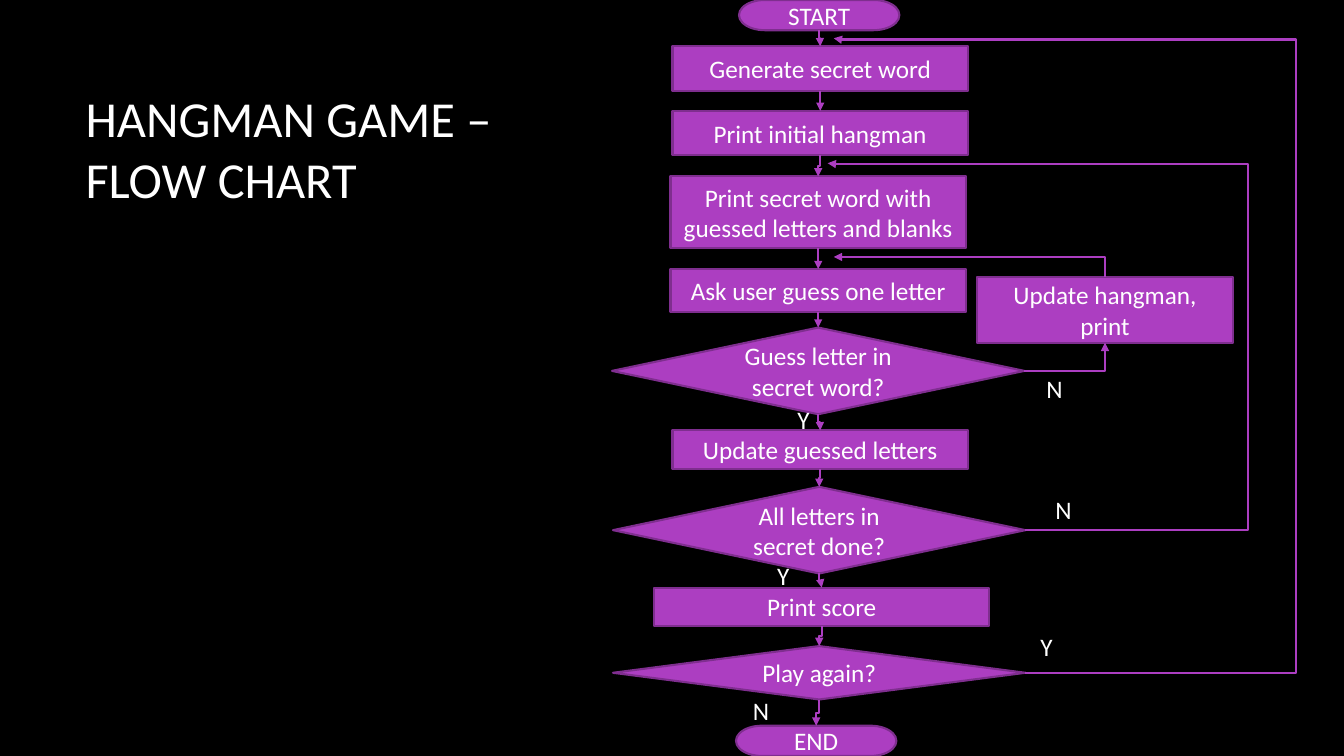
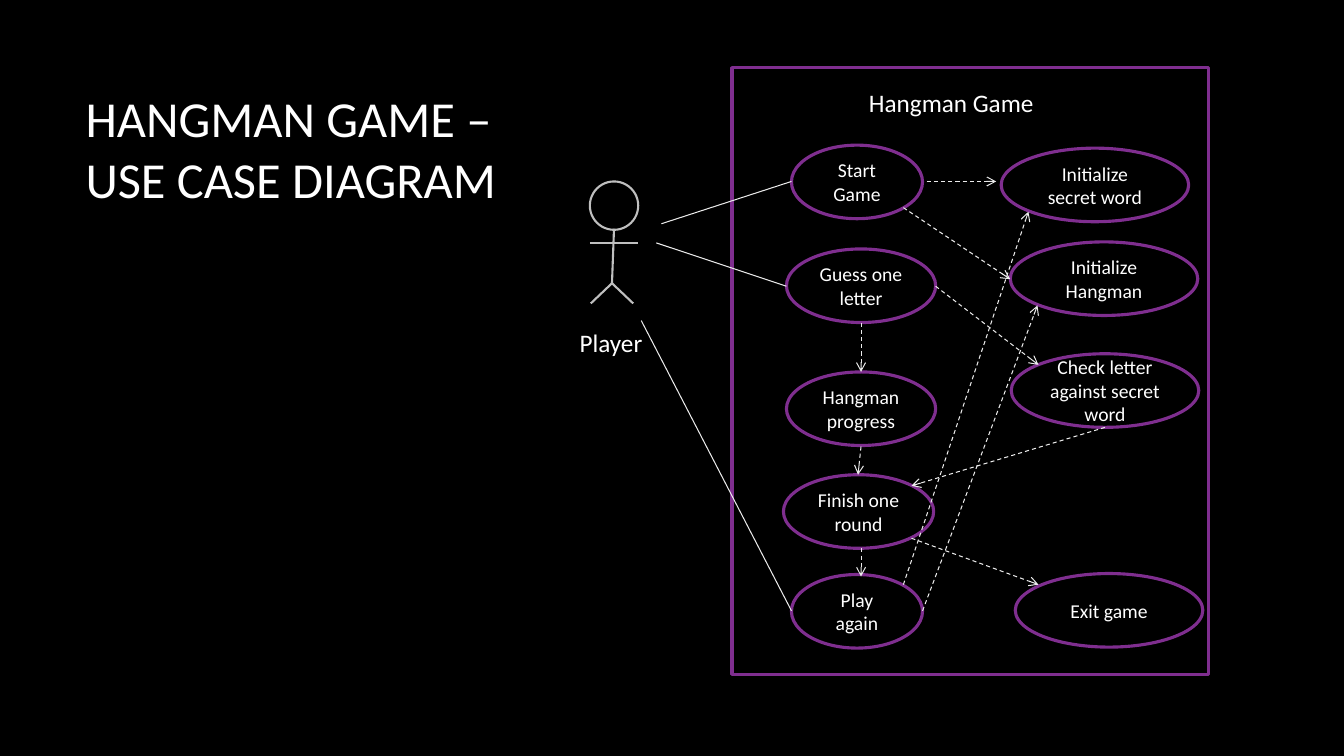
import lxml.etree
import pptx
import pptx.dml.color
import pptx.enum.dml
import pptx.enum.shapes
import pptx.enum.text
import pptx.oxml.ns
import pptx.util

Inches = pptx.util.Inches
Preset = pptx.enum.shapes.MSO_SHAPE
ConnectorKind = pptx.enum.shapes.MSO_CONNECTOR
Align = pptx.enum.text.PP_ALIGN
Anchor = pptx.enum.text.MSO_ANCHOR
qn = pptx.oxml.ns.qn

BLACK, WHITE = "000000", "FFFFFF"
PURPLE, DARK_PURPLE = "AC3EC1", "7F2E8F"
GREY, LIGHT_GREY = "BFBFBF", "EBEBEB"
TOP, BOTTOM, RIGHT = 0, 2, 3


def rgb(value):
    return pptx.dml.color.RGBColor.from_string(value)


class Diagram:
    """Holds the presentation, its style and the current slide."""

    font_name = "Calibri"

    def __init__(self):
        self.presentation = pptx.Presentation()
        self.presentation.slide_width = Inches(13.33)
        self.presentation.slide_height = Inches(7.5)
        self.slide = None

    def new_slide(self, title, title_width):
        self.slide = self.presentation.slides.add_slide(self.presentation.slide_layouts[6])
        background = self.slide.background.fill
        background.solid()
        background.fore_color.rgb = rgb(BLACK)
        box = self.slide.shapes.add_textbox(Inches(0.75), Inches(0.67), Inches(title_width), Inches(1.59))
        self.set_text(box, title, 36, Align.LEFT)

    def set_text(self, shape, text, size, alignment=Align.CENTER, anchor=Anchor.MIDDLE, wrap=True):
        frame = shape.text_frame
        frame.word_wrap = wrap
        frame.vertical_anchor = anchor
        paragraph = frame.paragraphs[0]
        paragraph.text = text
        paragraph.alignment = alignment
        paragraph.font.name = self.font_name
        paragraph.font.size = pptx.util.Pt(size)
        paragraph.font.color.rgb = rgb(WHITE)

    def label(self, text, left, top, width):
        box = self.slide.shapes.add_textbox(Inches(left), Inches(top), Inches(width), Inches(0.4))
        self.set_text(box, text, 18, Align.LEFT, Anchor.TOP, wrap=False)

    def outline(self, preset, left, top, width, height, color=DARK_PURPLE, weight=2.25, parent=None):
        """Add an unfilled shape to the slide, or to the parent group."""
        shape = (parent or self.slide).shapes.add_shape(
            preset, Inches(left), Inches(top), Inches(width), Inches(height))
        shape.shadow.inherit = False
        shape.fill.background()
        shape.line.color.rgb = rgb(color)
        shape.line.width = pptx.util.Pt(weight)
        return shape

    def flow_node(self, text, preset, left, top, width, height):
        shape = self.outline(preset, left, top, width, height, weight=1.5)
        shape.fill.solid()
        shape.fill.fore_color.rgb = rgb(PURPLE)
        self.set_text(shape, text, 18)
        return shape

    def use_case(self, text, left, top, width):
        shape = self.outline(Preset.OVAL, left, top, width, 0.73)
        self.set_text(shape, text, 14)

    def style_connector(self, connector, color, weight, arrowhead=None, dashed=False):
        connector.line.color.rgb = rgb(color)
        connector.line.width = pptx.util.Pt(weight)
        if dashed:
            connector.line.dash_style = pptx.enum.dml.MSO_LINE.DASH
        properties = connector.element.spPr
        if arrowhead:
            lxml.etree.SubElement(properties.find(qn("a:ln")), qn("a:tailEnd"), type=arrowhead)
        lxml.etree.SubElement(properties, qn("a:effectLst"))

    def straight(self, begin, end, color=LIGHT_GREY, weight=0.75, parent=None, arrowhead=None, dashed=False):
        connector = (parent or self.slide).shapes.add_connector(
            ConnectorKind.STRAIGHT, *map(Inches, begin + end))
        self.style_connector(connector, color, weight, arrowhead, dashed)

    def dependency(self, begin, end):
        self.straight(begin, end, arrowhead="arrow", dashed=True)

    def elbow(self, begin, begin_site, end, end_site=None, preset="bentConnector3", turns=0, lane=None):
        """Add a bent arrow from a shape to a shape, or to a point if end_site is None.

        turns counts clockwise quarter turns; lane is the x of the vertical run.
        """
        target = (0, 0) if end_site is not None else end
        connector = self.slide.shapes.add_connector(ConnectorKind.ELBOW, 0, 0, *map(Inches, target))
        connector.begin_connect(begin, begin_site)
        if end_site is not None:
            connector.end_connect(end, end_site)
        geometry = connector.element.spPr.find(qn("a:prstGeom"))
        geometry.set("prst", preset)
        if lane is not None:
            run = connector.end_x - connector.begin_x
            first = round((Inches(lane) - connector.begin_x) / run * 100000)
            guides = geometry.find(qn("a:avLst"))
            for name, value in (("adj1", first), ("adj2", 99800)):
                lxml.etree.SubElement(guides, qn("a:gd"), name=name, fmla=f"val {value}")
        if turns:
            self.turn(connector, turns)
        self.style_connector(connector, PURPLE, 1.5, "triangle")

    def turn(self, connector, turns):
        """Rotate the frame by one or three quarter turns, leaving both ends in place."""
        across = connector.end_x - connector.begin_x
        down = connector.end_y - connector.begin_y
        center_x = connector.begin_x + across // 2
        center_y = connector.begin_y + down // 2
        width, height = (down, -across) if turns == 1 else (-down, across)
        connector.begin_x, connector.end_x = center_x - width // 2, center_x + width // 2
        connector.begin_y, connector.end_y = center_y - height // 2, center_y + height // 2
        connector.element.spPr.find(qn("a:xfrm")).set("rot", str(turns * 5400000))


def build_flow_chart(diagram):
    diagram.new_slide("HANGMAN GAME – FLOW CHART", 5.05)
    terminator = Preset.FLOWCHART_TERMINATOR
    process = Preset.FLOWCHART_PROCESS
    decision = Preset.FLOWCHART_DECISION
    steps = [
        ("START", terminator, 7.33, 0, 1.59, 0.3),
        ("Generate secret word", process, 6.67, 0.46, 2.93, 0.44),
        ("Print initial hangman", process, 6.67, 1.1, 2.93, 0.44),
        ("Print secret word with guessed letters and blanks", process, 6.65, 1.75, 2.93, 0.71),
        ("Ask user guess one letter", process, 6.65, 2.67, 2.93, 0.43),
        ("Guess letter in secret word?", decision, 6.07, 3.25, 4.09, 0.86),
        ("Update guessed letters", process, 6.67, 4.27, 2.93, 0.38),
        ("All letters in secret done?", decision, 6.08, 4.83, 4.09, 0.86),
        ("Print score", process, 6.49, 5.83, 3.32, 0.38),
        ("Play again?", decision, 6.08, 6.41, 4.09, 0.53),
        ("END", terminator, 7.3, 7.2, 1.59, 0.3),
    ]
    nodes = [diagram.flow_node(*step) for step in steps]
    for upper, lower in zip(nodes, nodes[1:]):
        diagram.elbow(upper, BOTTOM, lower, TOP, turns=1)

    letter_found, all_done, play_again = nodes[5], nodes[7], nodes[9]
    update = diagram.flow_node("Update hangman, print", process, 9.69, 2.75, 2.54, 0.65)
    diagram.elbow(letter_found, RIGHT, update, BOTTOM, preset="bentConnector2")
    diagram.elbow(update, TOP, (8.27, 2.55), preset="bentConnector2", turns=3)
    diagram.elbow(all_done, RIGHT, (8.21, 1.62), preset="bentConnector4", lane=12.38)
    diagram.elbow(play_again, RIGHT, (8.27, 0.38), preset="bentConnector4", lane=12.85)

    for left, top in ((10.28, 3.65), (10.37, 4.85), (7.37, 6.85)):
        diagram.label("N", left, top, 0.36)
    for left, top in ((7.81, 3.96), (7.61, 5.51), (10.22, 6.21)):
        diagram.label("Y", left, top, 0.32)


def draw_player(diagram):
    figure = diagram.slide.shapes.add_group_shape()
    diagram.outline(Preset.OVAL, 5.85, 1.8, 0.48, 0.48, GREY, 1.5, figure)
    hip = (6.07, 2.81)
    limbs = [
        ((6.09, 2.27), hip),
        ((5.85, 2.41), (6.33, 2.41)),
        (hip, (5.86, 3.01)),
        (hip, (6.28, 3.01)),
    ]
    for begin, end in limbs:
        diagram.straight(begin, end, GREY, 1.5, figure)
    diagram.label("Player", 5.65, 3.2, 0.83)


def build_use_cases(diagram):
    diagram.new_slide("HANGMAN GAME – USE CASE DIAGRAM", 4.57)
    draw_player(diagram)
    diagram.outline(Preset.FLOWCHART_PROCESS, 7.26, 0.67, 4.73, 6.02)
    diagram.label("Hangman Game", 8.52, 0.82, 1.86)

    use_cases = [
        ("Start Game", 7.85, 1.44, 1.3),
        ("Guess one letter", 7.8, 2.47, 1.48),
        ("Hangman progress", 7.8, 3.69, 1.48),
        ("Finish one round", 7.77, 4.71, 1.49),
        ("Play again", 7.85, 5.7, 1.3),
        ("Initialize secret word", 9.93, 1.47, 1.86),
        ("Initialize Hangman", 10.02, 2.4, 1.86),
        ("Check letter against secret word", 10.03, 3.51, 1.86),
        ("Exit game", 10.07, 5.69, 1.86),
    ]
    for use_case in use_cases:
        diagram.use_case(*use_case)

    player_links = [
        ((6.56, 2.22), (7.85, 1.8)),
        ((6.51, 2.41), (7.8, 2.84)),
        ((6.36, 3.18), (7.85, 6.06)),
    ]
    for begin, end in player_links:
        diagram.straight(begin, end)

    dependencies = [
        ((9.19, 1.8), (9.88, 1.8)),
        ((8.96, 2.06), (10.02, 2.77)),
        ((9.28, 2.84), (10.3, 3.62)),
        ((8.54, 3.2), (8.54, 3.69)),
        ((8.54, 4.43), (8.51, 4.71)),
        ((10.96, 4.24), (9.04, 4.82)),
        ((8.54, 5.44), (8.54, 5.72)),
        ((9.04, 5.34), (10.3, 5.8)),
        ((8.96, 5.8), (10.2, 2.1)),
        ((9.15, 6.06), (10.29, 3.03)),
    ]
    for begin, end in dependencies:
        diagram.dependency(begin, end)


def main():
    diagram = Diagram()
    build_flow_chart(diagram)
    build_use_cases(diagram)
    diagram.presentation.save("out.pptx")


if __name__ == "__main__":
    main()
